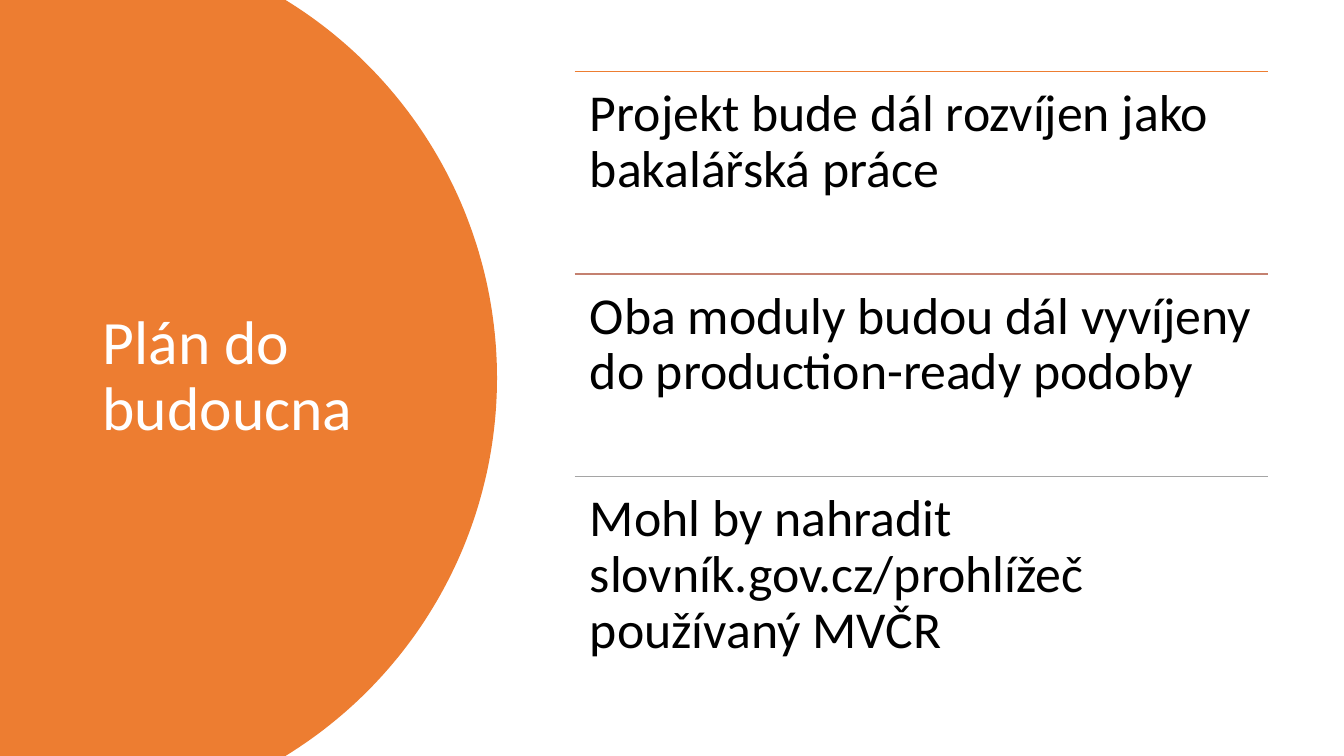
import math

from lxml import etree
from pptx import Presentation
from pptx.dml.color import RGBColor
from pptx.enum.shapes import MSO_CONNECTOR
from pptx.enum.text import MSO_ANCHOR
from pptx.oxml.ns import qn
from pptx.util import Inches, Pt

STRAIGHT = MSO_CONNECTOR.STRAIGHT
TOP = MSO_ANCHOR.TOP
MIDDLE = MSO_ANCHOR.MIDDLE

COLORS = {
    "orange": "ED7D31",
    "clay": "C48170",
    "gray": "A5A5A5",
    "white": "FFFFFF",
    "black": "000000",
}


def rgb(name):
    return RGBColor.from_string(COLORS[name])


def add_text(slide, text, box, size, color, anchor, inset_x, inset_y):
    shape = slide.shapes.add_textbox(*(Inches(value) for value in box))
    frame = shape.text_frame
    frame_format = {
        "word_wrap": True,
        "vertical_anchor": anchor,
        "margin_left": Inches(inset_x),
        "margin_right": Inches(inset_x),
        "margin_top": Inches(inset_y),
        "margin_bottom": Inches(inset_y),
    }
    for name, value in frame_format.items():
        setattr(frame, name, value)
    paragraph = frame.paragraphs[0]
    paragraph.text = text
    paragraph.line_spacing = 0.9
    font = paragraph.runs[0].font
    for name, value in {"name": "Calibri", "size": Pt(size)}.items():
        setattr(font, name, value)
    font.color.rgb = rgb(color)


presentation = Presentation()
presentation.slide_width = Inches(13.33)
presentation.slide_height = Inches(7.5)
slide = presentation.slides.add_slide(presentation.slide_layouts[6])

center_x, center_y, radius = 0.53, 3.75, 4.4
half_angle = math.asin(center_y / radius)
arc_steps = 120
arc_points = []
for step in range(arc_steps + 1):
    angle = half_angle * (2 * step / arc_steps - 1)
    arc_points.append((
        Inches(center_x + radius * math.cos(angle)),
        Inches(center_y + radius * math.sin(angle)),
    ))
builder = slide.shapes.build_freeform(0, 0)
builder.add_line_segments(arc_points + [(0, Inches(7.5))], close=True)
panel = builder.convert_to_shape()
panel.shadow.inherit = False
panel.fill.solid()
panel.fill.fore_color.rgb = rgb("orange")
panel.line.fill.background()

add_text(slide, "Plán do budoucna", (0.92, 0.7, 3.23, 6.09),
         44, "white", MIDDLE, 0.1, 0.05)

plans = [
    ("Projekt bude dál rozvíjen jako bakalářská práce", "orange"),
    ("Oba moduly budou dál vyvíjeny do production-ready podoby", "clay"),
    ("Mohl by nahradit slovník.gov.cz/prohlížeč používaný MVČR", "gray"),
]
left, first_top, width, row_height = 5.7, 0.71, 6.88, 2.01

for index, (text, line_color) in enumerate(plans):
    top = first_top + index * row_height
    divider = slide.shapes.add_connector(
        STRAIGHT, Inches(left), Inches(top), Inches(left + width), Inches(top))
    divider.line.color.rgb = rgb(line_color)
    divider.line.width = Pt(1)
    etree.SubElement(divider.element.spPr, qn("a:effectLst"))
    add_text(slide, text, (left, top, width, row_height),
             37, "black", TOP, 0.15, 0.15)

presentation.save("out.pptx")
